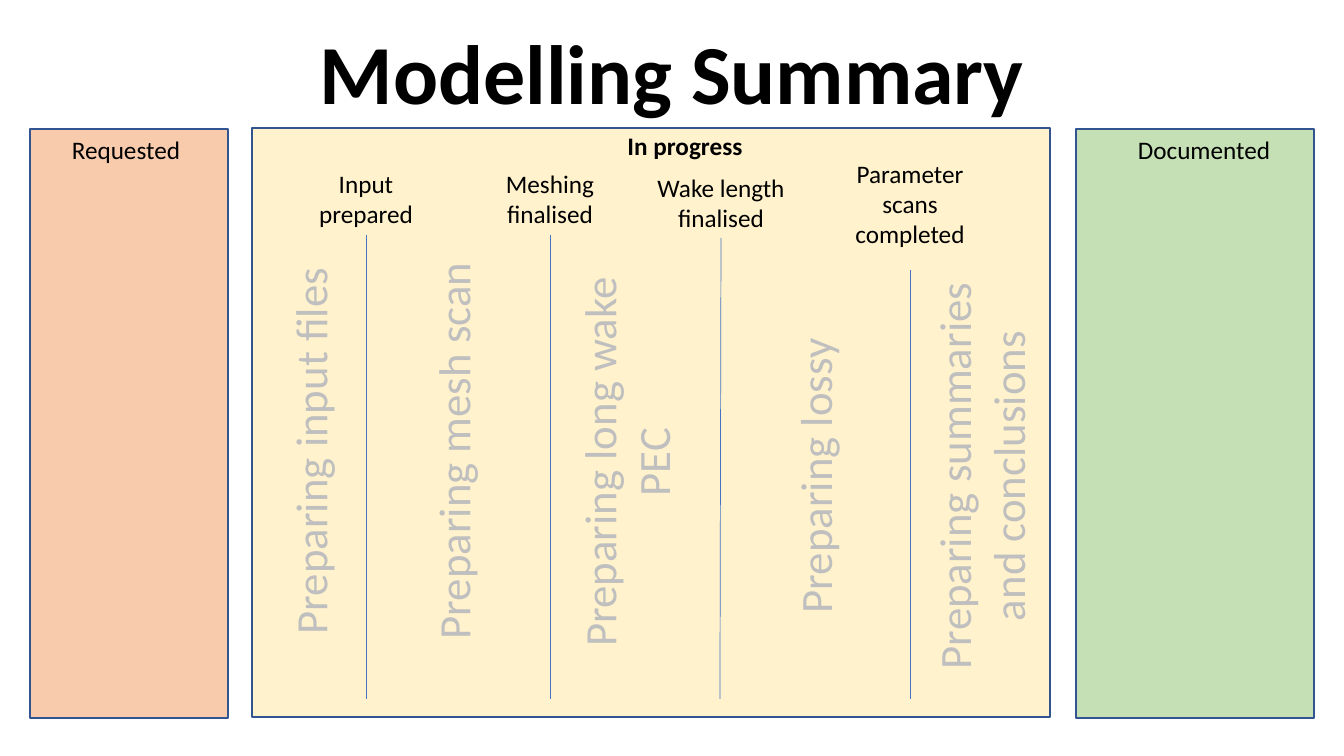
from lxml import etree
from pptx import Presentation
from pptx.dml.color import RGBColor
from pptx.enum.shapes import MSO_CONNECTOR, MSO_SHAPE
from pptx.enum.text import MSO_ANCHOR, PP_ALIGN
from pptx.oxml.ns import qn
from pptx.util import Pt

STRAIGHT = MSO_CONNECTOR.STRAIGHT
RECTANGLE = MSO_SHAPE.RECTANGLE
CENTER = PP_ALIGN.CENTER
TOP, BOTTOM = MSO_ANCHOR.TOP, MSO_ANCHOR.BOTTOM

EMU_PER_PIXEL = 914400 / 100.8
SLIDE_SIZE = (1344, 756)
LINE_HEIGHT = 31
INSET = 5
DIVIDER_BOTTOM = 699
PHASE_THICKNESS = {1: 65, 2: 119}

THEME = {
    "font": "Calibri",
    "border": "325491",
    "divider": "4472C4",
    "title": {"size": Pt(60), "bold": True, "color": "000000"},
    "label": {"size": Pt(18), "bold": False, "color": "000000"},
    "strong": {"size": Pt(18), "bold": True, "color": "000000"},
    "phase": {"size": Pt(32), "bold": False, "color": "BFBFBF"},
}

TITLE = ("Modelling Summary", (168, 26, 1008, 102))

COLUMNS = [
    ("In progress", "strong", "FFF2CC", (252, 128, 798, 589), (617, 125, 136, 40)),
    ("Requested", "label", "F8CBAD", (30, 129, 198, 589), (61, 129, 130, 40)),
    ("Documented", "label", "C5E0B4", (1076, 129, 238, 589), (1127, 129, 154, 40)),
]

MILESTONES = [
    (["Input prepared"], 2, 366, 366, 163, 128, 235),
    (["Meshing", "finalised"], 2, 550, 550, 163, 128, 235),
    (["Wake length", "finalised"], 2, 721, 720, 167, 154, 238),
    (["Parameter scans", "completed"], 3, 910, 910, 153, 154, 270),
]

PHASES = [
    ("Preparing input files", 1, 310, 451, 391),
    ("Preparing mesh scan", 1, 453, 451, 401),
    ("Preparing long wake PEC", 2, 626, 462, 440),
    ("Preparing lossy", 1, 815, 476, 297),
    ("Preparing summaries and conclusions", 2, 981, 476, 412),
]


def emu(*pixels):
    return [round(p * EMU_PER_PIXEL) for p in pixels]


def add_label(lines, box, style, wrap=True, anchor=TOP, spacing=1.0, rotation=0):
    label = slide.shapes.add_textbox(*emu(*box))
    label.rotation = rotation
    frame = label.text_frame
    frame.word_wrap = wrap
    frame.vertical_anchor = anchor
    frame.text = "\n".join(lines)
    text_format = dict(THEME[style], name=THEME["font"])
    color = RGBColor.from_string(text_format.pop("color"))
    for paragraph in frame.paragraphs:
        paragraph.alignment = CENTER
        paragraph.line_spacing = spacing
        font = paragraph.runs[0].font
        for attribute, value in text_format.items():
            setattr(font, attribute, value)
        font.color.rgb = color


def add_column(box, fill):
    column = slide.shapes.add_shape(RECTANGLE, *emu(*box))
    column.shadow.inherit = False
    column.fill.solid()
    column.fill.fore_color.rgb = RGBColor.from_string(fill)
    column.line.color.rgb = RGBColor.from_string(THEME["border"])
    column.line.width = Pt(1)


def add_divider(top_x, top, bottom_x, bottom):
    divider = slide.shapes.add_connector(STRAIGHT, *emu(top_x, top, bottom_x, bottom))
    divider.line.color.rgb = RGBColor.from_string(THEME["divider"])
    divider.line.width = Pt(0.5)
    etree.SubElement(divider._element.spPr, qn("a:effectLst"))


deck = Presentation()
deck.slide_width, deck.slide_height = emu(*SLIDE_SIZE)
slide = deck.slides.add_slide(deck.slide_layouts[6])

title, title_box = TITLE
add_label([title], title_box, "title", anchor=BOTTOM, spacing=0.9)

for heading, style, fill, column_box, heading_box in COLUMNS:
    add_column(column_box, fill)
    add_label([heading], heading_box, style, wrap=False)

for lines, rows, top_x, bottom_x, top, width, divider_top in MILESTONES:
    height = rows * LINE_HEIGHT + 2 * INSET
    add_label(lines, (top_x - width / 2, top, width, height), "label")
    add_divider(top_x, divider_top, bottom_x, DIVIDER_BOTTOM)

for phase, rows, center_x, center_y, length in PHASES:
    thickness = PHASE_THICKNESS[rows]
    box = (center_x - length / 2, center_y - thickness / 2, length, thickness)
    add_label([phase], box, "phase", wrap=rows > 1, rotation=270)

deck.save("out.pptx")
